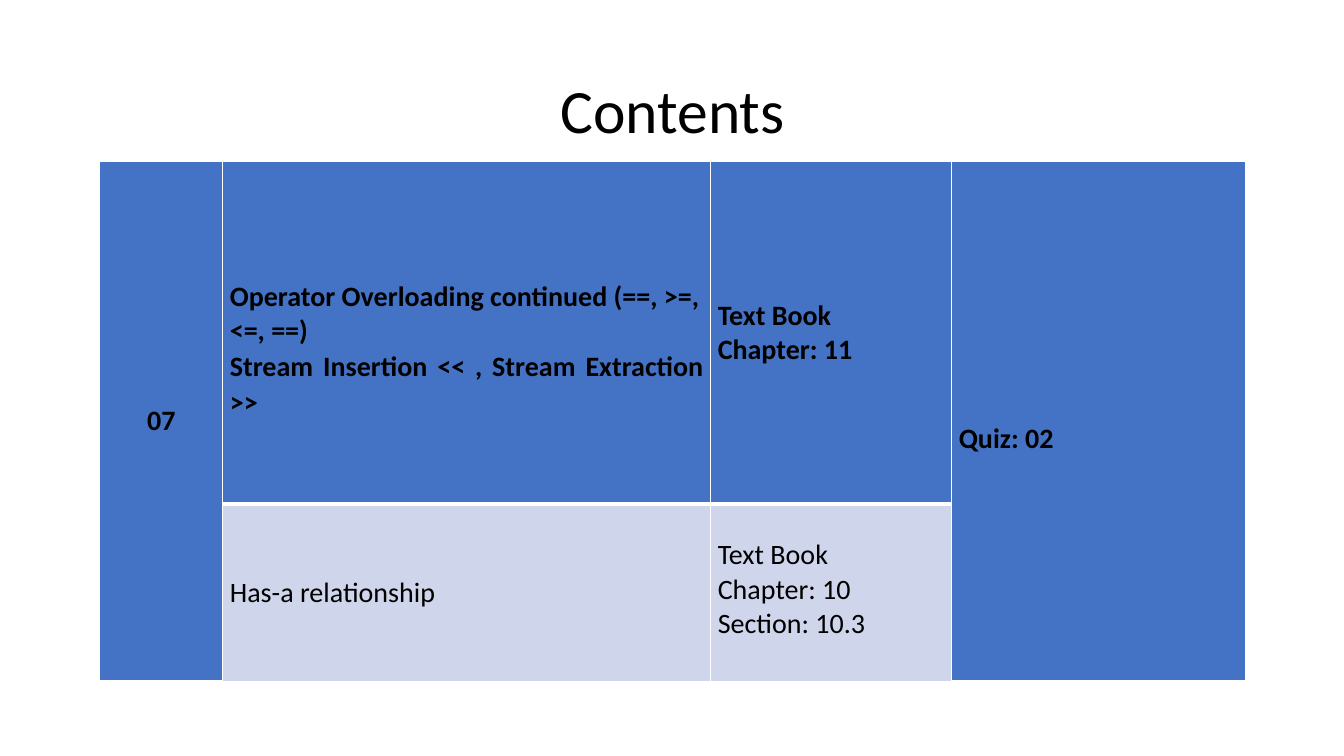
from dataclasses import dataclass
from lxml.etree import SubElement
from pptx import Presentation
from pptx.dml.color import RGBColor
from pptx.enum.text import MSO_ANCHOR, PP_ALIGN
from pptx.oxml.ns import qn
from pptx.util import Inches, Pt


@dataclass(frozen=True)
class Theme:
    """Colours, font and sizes of the slide."""
    font: str = "Calibri"
    ink: str = "000000"
    blue: str = "4472C4"
    pale: str = "CFD5EA"
    rule: str = "FFFFFF"
    title: int = 44
    body: int = 20
    thin: int = 1
    thick: int = 3


THEME = Theme()
LEFT, CENTER, JUST = PP_ALIGN.LEFT, PP_ALIGN.CENTER, PP_ALIGN.JUSTIFY
MIDDLE, TOP = MSO_ANCHOR.MIDDLE, MSO_ANCHOR.TOP
COLS = (1.22, 4.84, 2.39, 2.91)
ROWS = (3.4, 1.76)
LINE = 0.34  # height of one line of body text

# row, column, lines of (text, alignment, spacing), top inset, anchor
CELLS = (
    (0, 0, [("07", CENTER, 1)], 0, MIDDLE),
    (0, 1, [("Operator Overloading continued (==, >=, <=, ==)", LEFT, 1),
            ("Stream Insertion << , Stream Extraction >>", JUST, 1.05)],
     LINE, MIDDLE),
    (0, 2, [("Text Book", LEFT, 1), ("Chapter: 11", LEFT, 1)], 0, MIDDLE),
    (0, 3, [("Quiz: 02", LEFT, 1)], LINE, MIDDLE),
    (1, 1, [("Has-a relationship", LEFT, 1)], 0, MIDDLE),
    (1, 2, [("Text Book", LEFT, 1), ("Chapter: 10", LEFT, 1),
            ("Section: 10.3", LEFT, 1)], LINE, TOP),
)


def write(frame, lines, size, bold=False):
    """Fill a text frame with aligned, spaced lines."""
    for i, (text, align, space) in enumerate(lines):
        para = frame.add_paragraph() if i else frame.paragraphs[0]
        para.text = text
        para.alignment = align
        para.line_spacing = float(space)
        font = para.font
        font.name, font.size, font.bold = THEME.font, Pt(size), bold
        font.color.rgb = RGBColor.from_string(THEME.ink)


def add_title(slide, text):
    """Add the centred title."""
    box = slide.shapes.add_textbox(
        Inches(0.92), Inches(0.4), Inches(11.5), Inches(1.45))
    frame = box.text_frame
    frame.word_wrap = True
    frame.vertical_anchor = MIDDLE
    write(frame, [(text, CENTER, 0.9)], THEME.title)


def add_rules(cell, row):
    """Draw the cell's borders, with a thick rule between the rows."""
    props = cell._tc.get_or_add_tcPr()
    heavy = "lnT" if row else "lnB"
    for side in ("lnL", "lnR", "lnT", "lnB"):
        width = THEME.thick if side == heavy else THEME.thin
        line = SubElement(props, qn("a:" + side), w=str(Pt(width)))
        fill = SubElement(line, qn("a:solidFill"))
        SubElement(fill, qn("a:srgbClr"), val=THEME.rule)


def add_grid(slide):
    """Add the contents table."""
    table = slide.shapes.add_table(
        len(ROWS), len(COLS), Inches(0.99), Inches(1.6),
        Inches(sum(COLS)), Inches(sum(ROWS))).table
    table.first_row = table.horz_banding = False
    for col, width in zip(table.columns, COLS):
        col.width = Inches(width)
    for row, height in zip(table.rows, ROWS):
        row.height = Inches(height)
    for col in (0, 3):
        table.cell(0, col).merge(table.cell(1, col))
    for row, col, lines, inset, anchor in CELLS:
        cell = table.cell(row, col)
        add_rules(cell, row)
        cell.fill.solid()
        cell.fill.fore_color.rgb = RGBColor.from_string(
            THEME.pale if row else THEME.blue)
        cell.margin_left = cell.margin_right = Inches(0.07)
        cell.margin_top, cell.margin_bottom = Inches(inset), Inches(0)
        cell.vertical_anchor = anchor
        write(cell.text_frame, lines, THEME.body, bold=row == 0)


def main():
    """Build and save the slide."""
    deck = Presentation()
    deck.slide_width, deck.slide_height = Inches(13.33), Inches(7.5)
    slide = deck.slides.add_slide(deck.slide_layouts[6])
    add_title(slide, "Contents")
    add_grid(slide)
    deck.save("out.pptx")


main()
